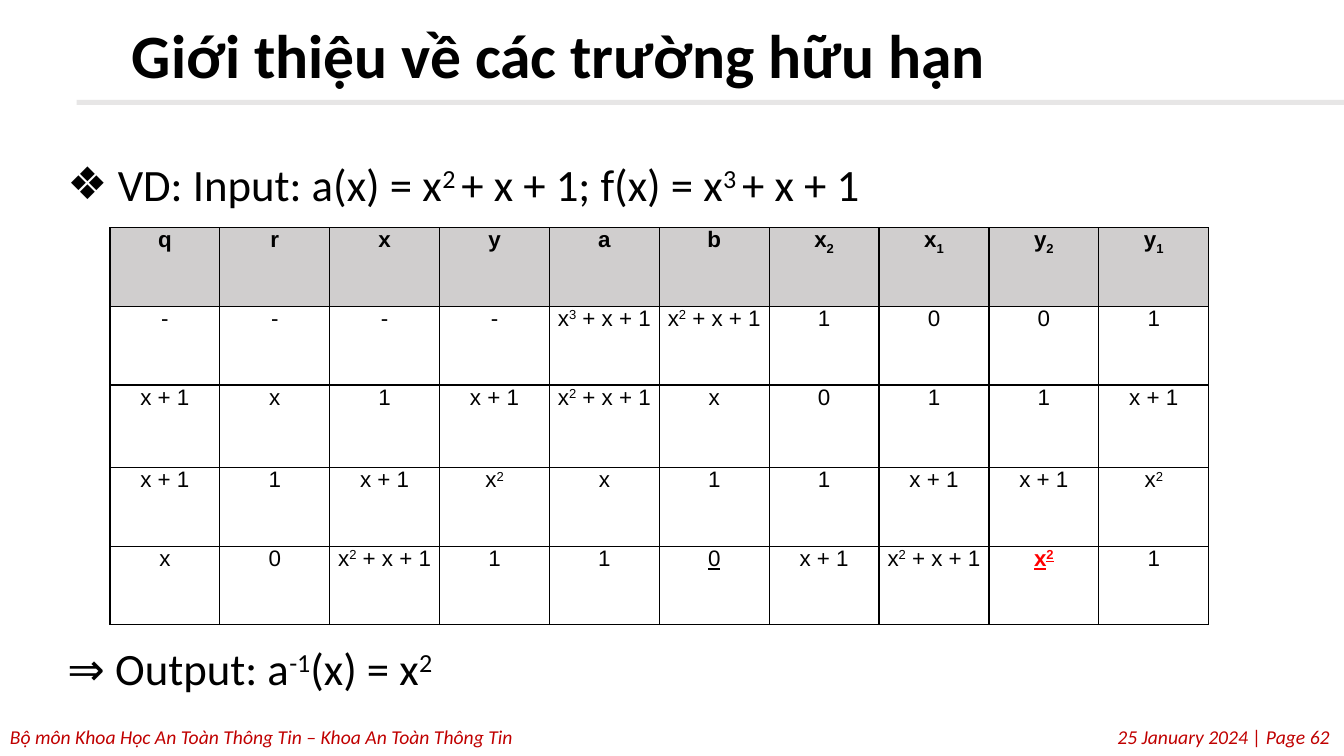
"""Build the slide on finite fields with the extended Euclid table."""
from lxml.etree import SubElement
from pptx import Presentation
from pptx.dml.color import RGBColor
from pptx.enum.shapes import MSO_SHAPE as Shape
from pptx.enum.text import MSO_ANCHOR as Anchor, PP_ALIGN as Align
from pptx.oxml.ns import qn
from pptx.util import Inches, Pt

HEADER = ["q", "r", "x", "y", "a", "b", "x~2", "x~1", "y~2", "y~1"]
QUAD = "x~2~ + x + 1"
STEPS = [
    ["-", "-", "-", "-", "x~3~ + x + 1", QUAD, "1", "0", "0", "1"],
    ["x + 1", "x", "1", "x + 1", QUAD, "x", "0", "1", "1", "x + 1"],
    ["x + 1", "1", "x + 1", "x~2", "x", "1", "1", "x + 1", "x + 1", "x~2"],
    ["x", "0", QUAD, "1", "1", "0", "x + 1", QUAD, "x~2", "1"],
]
ROW_HEIGHTS = [0.78, 0.78, 0.82, 0.78, 0.78]
EMPHASIS = {(4, 5): dict(underline=True),
            (4, 8): dict(underline=True, bold=True, color="FF0000")}


def rgb(value):
    """Turn a hex string into a colour."""
    return RGBColor.from_string(value)


def write(p, text, size=16, font="Calibri", color="000000", bold=False,
          italic=False, underline=False, align=Align.LEFT, shift=30):
    """Write text into a paragraph, raising or lowering each part after an odd tilde."""
    p.alignment = align
    for i, part in enumerate(text.split("~")):
        r = p.add_run()
        r.text = part
        f = r.font
        f.size, f.name, f.bold, f.italic = Pt(size), font, bold, italic
        f.underline = underline
        f.color.rgb = rgb(color)
        if i % 2:
            r._r.get_or_add_rPr().set("baseline", str(shift * 1000))


class SlideBuilder:
    """Hold the slide and its style."""

    def __init__(self, prs):
        """Add a blank slide."""
        self.s = prs.slides.add_slide(prs.slide_layouts[6])
        self.ink, self.rule, self.head, self.accent = "000000", "E7E6E6", "D0CECE", "C00000"

    def frame(self, x, y, w, h, inset=0.05):
        """Add a wrapping text box and return its text frame."""
        tf = self.s.shapes.add_textbox(Inches(x), Inches(y), Inches(w), Inches(h)).text_frame
        tf.word_wrap = True
        tf.margin_top = tf.margin_bottom = Inches(inset)
        return tf

    def footer(self, text, width, align):
        """Add a footer line."""
        tf = self.frame(0, 7.14, width, 0.34)
        write(tf.paragraphs[0], text, size=14, color=self.accent, italic=True, align=align)

    def title(self, text):
        """Add the title and the bar below it."""
        bar = self.s.shapes.add_shape(Shape.RECTANGLE, Inches(0.76), Inches(0.99),
                                      Inches(12.58), Inches(0.05))
        bar.shadow.inherit = False
        bar.fill.solid()
        bar.fill.fore_color.rgb = rgb(self.rule)
        bar.line.fill.background()
        tf = self.frame(1.21, 0.19, 12.05, 0.78, 0.1)
        tf.vertical_anchor = Anchor.MIDDLE
        tf.paragraphs[0].line_spacing = 0.9
        write(tf.paragraphs[0], text, size=44, bold=True)

    def body(self, given, result):
        """Add the bulleted input and the output, leaving room for the table."""
        tf = self.frame(0.4, 1.19, 12.76, 5.85, 0.1)
        first, last = tf.paragraphs[0], tf.add_paragraph()
        for p, text, left, indent in ((first, given, 0.67, -0.5), (last, result, 0.17, 0)):
            p.line_spacing = 1.5
            write(p, text, size=32)
            pPr = p._p.get_or_add_pPr()
            pPr.set("marL", str(Inches(left)))
            pPr.set("indent", str(Inches(indent)))
        last.space_before = Pt(288)
        SubElement(first._p.pPr, qn("a:buFont"), typeface="Arial")
        SubElement(first._p.pPr, qn("a:buChar"), char="❖")

    def border(self, cell):
        """Draw a thin line on every side of a cell."""
        tcPr = cell._tc.get_or_add_tcPr()
        for side in "LRTB":
            ln = SubElement(tcPr, qn(f"a:ln{side}"), w=str(Pt(1)))
            SubElement(SubElement(ln, qn("a:solidFill")), qn("a:srgbClr"), val=self.ink)

    def table(self, rows, heights):
        """Add the table of division steps."""
        t = self.s.shapes.add_table(len(rows), len(rows[0]), Inches(1.09), Inches(2.26),
                                    Inches(10.9), Inches(sum(heights))).table
        t.first_row = t.horz_banding = False
        for i, row in enumerate(rows):
            t.rows[i].height = Inches(heights[i])
            for j, text in enumerate(row):
                cell = t.cell(i, j)
                cell.margin_left = cell.margin_right = Inches(0.07)
                cell.margin_top = cell.margin_bottom = 0
                self.border(cell)
                cell.fill.solid()
                cell.fill.fore_color.rgb = rgb("FFFFFF" if i else self.head)
                style = dict(bold=i == 0, shift=30 if i else -25) | EMPHASIS.get((i, j), {})
                write(cell.text_frame.paragraphs[0], text, font="Arial",
                      align=Align.CENTER, **style)


def main():
    """Build and save the slide."""
    prs = Presentation()
    prs.slide_width, prs.slide_height = Inches(13.33), Inches(7.5)
    page = SlideBuilder(prs)
    page.footer("Bộ môn Khoa Học An Toàn Thông Tin – Khoa An Toàn Thông Tin", 13.33, Align.LEFT)
    page.footer("25 January 2024 | Page 62", 13.29, Align.RIGHT)
    page.title("Giới thiệu về các trường hữu hạn")
    page.body("VD: Input: a(x) = x~2 ~+ x + 1; f(x) = x~3 ~+ x + 1",
              "⇒ Output: a~-1~(x) = x~2")
    page.table([HEADER] + STEPS, ROW_HEIGHTS)
    prs.save("out.pptx")


if __name__ == "__main__":
    main()
